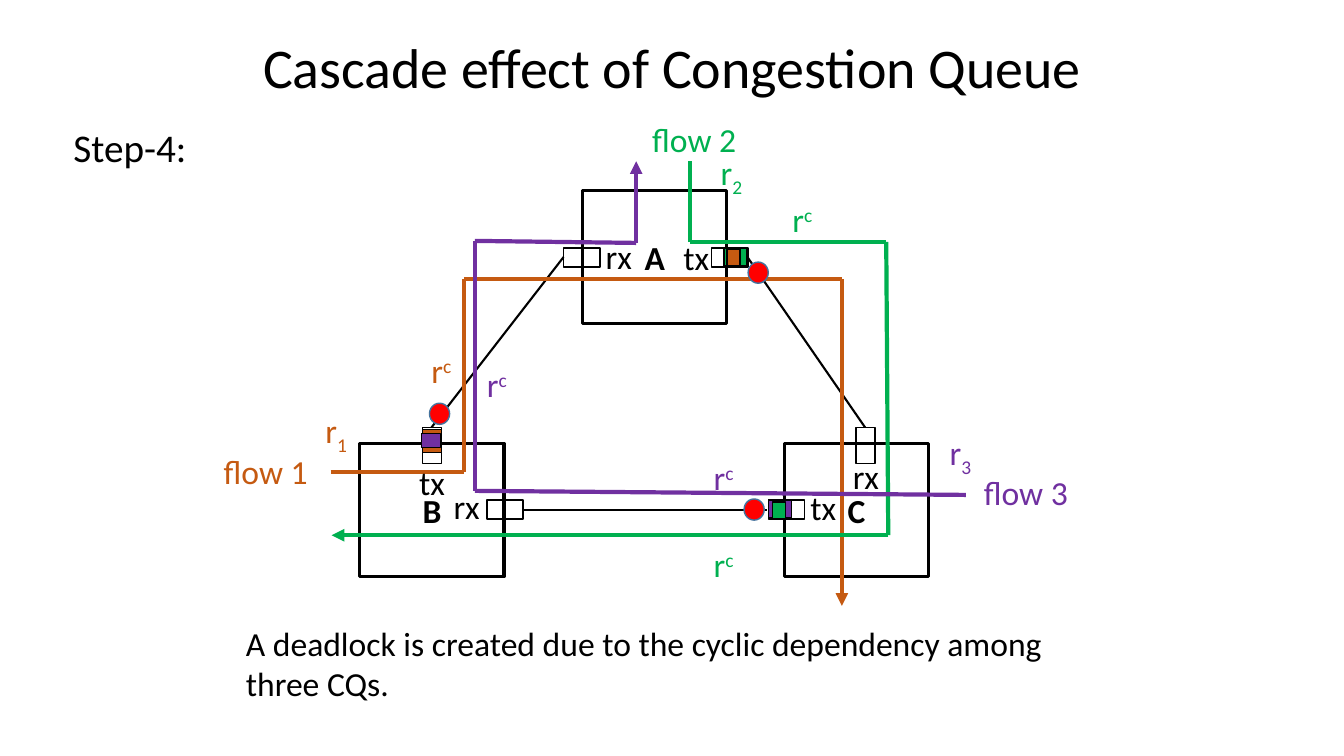
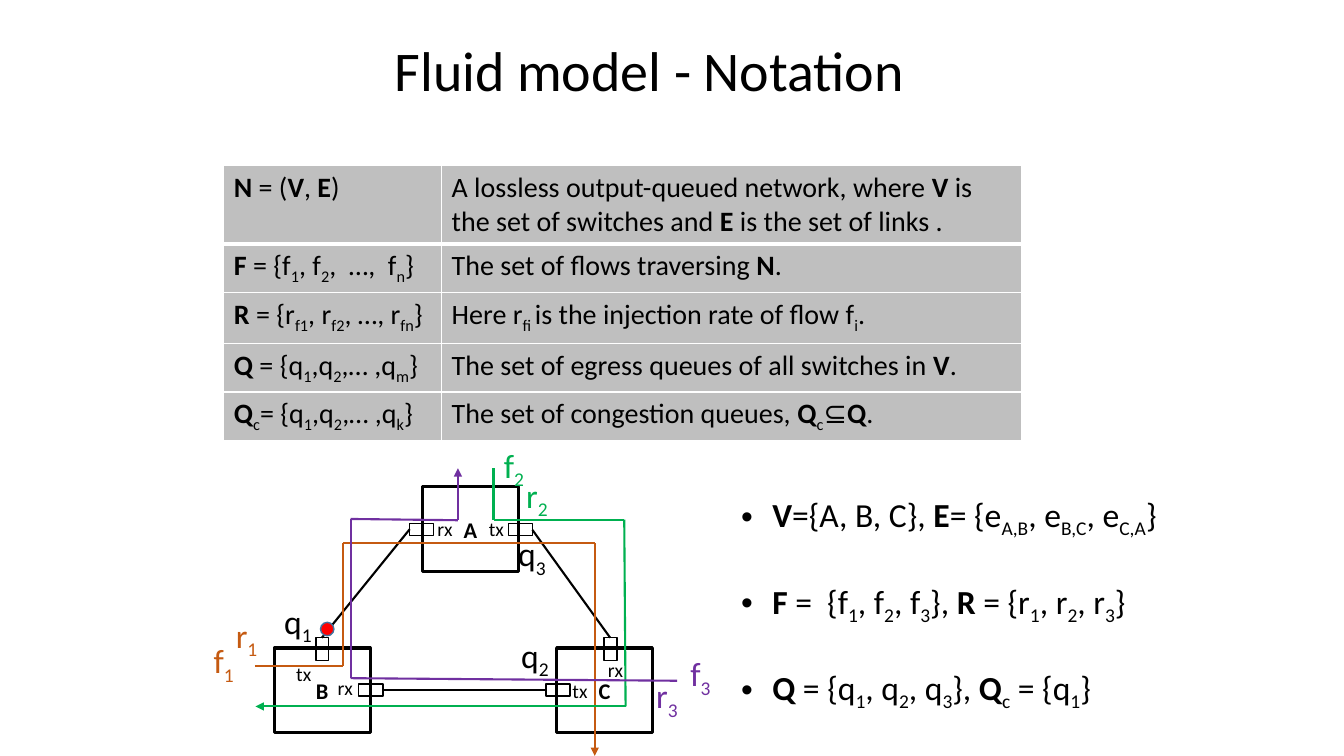
from lxml.etree import SubElement
from pptx import Presentation
from pptx.dml.color import RGBColor
from pptx.enum.shapes import MSO_CONNECTOR as Wire, MSO_SHAPE as Form
from pptx.enum.text import MSO_ANCHOR as Anchor, MSO_AUTO_SIZE as Auto, PP_ALIGN as Align
from pptx.oxml.ns import qn
from pptx.util import Inches, Pt

BLACK = RGBColor(0x00, 0x00, 0x00)
WHITE = RGBColor(0xFF, 0xFF, 0xFF)
GREY = RGBColor(0xBF, 0xBF, 0xBF)
BROWN = RGBColor(0xC5, 0x5A, 0x11)
GREEN = RGBColor(0x00, 0xB0, 0x50)
PURPLE = RGBColor(0x70, 0x30, 0xA0)
RED = RGBColor(0xFF, 0x00, 0x00)
BLUE = RGBColor(0x43, 0x73, 0x9E)
SHIFT = {"_": "-25000", "^": "30000"}


def write(para, text, size, color=BLACK, align=Align.LEFT):
    para.alignment = align
    para.font.name = "Calibri"
    para.font.size = Pt(size)
    para.font.color.rgb = color
    for part in text.split("|"):
        mark = part[0]
        run = para.add_run()
        run.text = part[1:] if mark in "*_^" else part
        run.font.bold = mark == "*"
        if mark in SHIFT:
            run._r.get_or_add_rPr().set("baseline", SHIFT[mark])


def draw(page, form, place, fill=None, edge=BLACK, width=1):
    shape = page.shapes.add_shape(form, *map(Inches, place))
    shape.shadow.inherit = False
    if fill is None:
        shape.fill.background()
    else:
        shape.fill.solid()
        shape.fill.fore_color.rgb = fill
    shape.line.color.rgb = edge
    shape.line.width = Pt(width)
    return shape


deck = Presentation()
deck.slide_width = Inches(13.33)
deck.slide_height = Inches(7.5)

nodes = [("*A", 5.78, 1.89), ("*B", 3.57, 4.4), ("*C", 7.78, 4.4)]
ports = [
    (5.59, 2.46, 0.36, 0.19), (7.06, 2.46, 0.36, 0.19),
    (4.83, 4.96, 0.36, 0.19), (7.62, 4.96, 0.36, 0.19),
    (4.19, 4.24, 0.19, 0.36), (8.49, 4.24, 0.19, 0.36),
]
links = [
    (BLACK, [(5.59, 2.55), (4.28, 4.24)]),
    (BLACK, [(7.42, 2.56), (8.58, 4.24)]),
    (BLACK, [(5.18, 5.06), (7.61, 5.06)]),
]

main_tags = [
    ("tx", 4.06, 4.53, 0.46, BLACK), ("rx", 4.4, 4.77, 0.46, BLACK),
    ("rx", 8.36, 4.47, 0.46, BLACK), ("tx", 7.94, 4.78, 0.46, BLACK),
    ("tx", 6.68, 2.3, 0.46, BLACK), ("rx", 5.91, 2.29, 0.46, BLACK),
    ("flow 1", 2.12, 4.42, 1.04, BROWN), ("flow 2", 6.37, 1.13, 1.04, GREEN),
    ("flow 3", 9.66, 4.63, 1.04, PURPLE),
    ("r|_1", 3.13, 4.02, 0.43, BROWN), ("r|_2", 7.05, 1.46, 0.43, GREEN),
    ("r|_3", 9.32, 4.24, 0.43, PURPLE),
    ("r|^c", 4.18, 3.42, 0.41, BROWN), ("r|^c", 4.73, 3.56, 0.41, PURPLE),
    ("r|^c", 6.98, 4.48, 0.41, PURPLE), ("r|^c", 6.98, 5.35, 0.41, GREEN),
    ("r|^c", 7.76, 1.92, 0.41, GREEN),
]
model_tags = [
    ("tx", 2.84, 6.52, 0.36, BLACK), ("rx", 3.25, 6.66, 0.36, BLACK),
    ("rx", 5.93, 6.48, 0.36, BLACK), ("tx", 5.58, 6.69, 0.36, BLACK),
    ("tx", 4.75, 5.08, 0.36, BLACK), ("rx", 4.24, 5.08, 0.36, BLACK),
    ("f|_1", 2.02, 6.3, 0.42, BROWN), ("f|_2", 4.9, 4.36, 0.42, GREEN),
    ("f|_3", 6.75, 6.43, 0.42, PURPLE),
    ("q|_1", 2.72, 5.91, 0.49, BLACK), ("q|_2", 5.07, 6.25, 0.49, BLACK),
    ("q|_3", 5.04, 5.24, 0.49, BLACK),
    ("r|_1", 2.24, 6.05, 0.43, BROWN), ("r|_2", 5.12, 4.66, 0.43, GREEN),
    ("r|_3", 6.41, 6.65, 0.43, PURPLE),
]

plans = [
    (5, "Cascade effect of Congestion Queue", (1.72, 0.27, 9.89, 0.77),
     5.78, 1.89, 1, 1, 6.01, 3, 24, 24, main_tags),
    (1, "Fluid model - Notation", (0.63, 0.3, 11.62, 0.77),
     4.19, 4.83, 0.665, 0.637, 6.08, 1.5, 16, 14, model_tags),
]
pages = []
for layout, head, place, left, top, wide, high, foot, thick, big, small, tags in plans:
    page = deck.slides.add_slide(deck.slide_layouts[layout])
    pages.append(page)
    title = page.shapes.title
    title.left, title.top, title.width, title.height = map(Inches, place)
    title.text_frame.auto_size = Auto.NONE
    write(title.text_frame.paragraphs[0], head, 40, align=Align.CENTER)

    for name, x, y in nodes:
        spot = (left + (x - 5.78) * wide, top + (y - 1.89) * high, 1.43 * wide, 1.32 * high)
        node = draw(page, Form.RECTANGLE, spot, width=2.25)
        node.text_frame.vertical_anchor = Anchor.MIDDLE
        write(node.text_frame.paragraphs[0], name, big, align=Align.CENTER)
    for x, y, w, h in ports:
        spot = (left + (x - 5.78) * wide, top + (y - 1.89) * high, w * wide, h * high)
        draw(page, Form.RECTANGLE, spot)

    flows = [
        (BROWN, [(3.28, 4.68), (4.6, 4.68), (4.6, 2.77), (8.35, 2.77), (8.35, foot)]),
        (GREEN, [(6.84, 1.6), (6.84, 2.4), (8.79, 2.4), (8.81, 5.31), (3.29, 5.31)]),
        (PURPLE, [(9.58, 4.91), (4.71, 4.87), (4.71, 2.39), (6.31, 2.41), (6.31, 1.6)]),
    ]
    for color, stops in links + flows:
        for start, end in zip(stops, stops[1:]):
            ends = [Inches(v) for x, y in (start, end)
                    for v in (left + (x - 5.78) * wide, top + (y - 1.89) * high)]
            line = page.shapes.add_connector(Wire.STRAIGHT, *ends)
            line.line.color.rgb = color
            line.line.width = Pt(1.5 if color == BLACK else thick)
            if color != BLACK and end == stops[-1]:
                SubElement(line.line._get_or_add_ln(), qn("a:tailEnd"), type="triangle")
            SubElement(line._element.spPr, qn("a:effectLst"))

    spot = (left - 1.52 * wide, top + 2.11 * high, 0.2 * wide, 0.21 * high)
    draw(page, Form.OVAL, spot, RED, BLUE)

    for text, x, y, w, color in tags:
        size = small if text in ("rx", "tx") else 24
        tag = page.shapes.add_textbox(*map(Inches, (x, y, w, size / 48 + 0.02)))
        tag.text_frame.word_wrap = False
        write(tag.text_frame.paragraphs[0], text, size, color)

cascade, model = pages

for x, y in [(7.38, 4.95), (7.42, 2.6)]:
    draw(cascade, Form.OVAL, (x, y, 0.2, 0.21), RED, BLUE)
for fill, *place in [
    (BROWN, 4.19, 4.26, 0.19, 0.23), (PURPLE, 4.18, 4.3, 0.19, 0.14),
    (PURPLE, 7.62, 4.96, 0.23, 0.18), (GREEN, 7.66, 4.98, 0.13, 0.17),
    (GREEN, 7.18, 2.46, 0.23, 0.18), (BROWN, 7.21, 2.47, 0.13, 0.17),
]:
    draw(cascade, Form.RECTANGLE, place, fill)

for text, size, *place in [
    ("Step-4:", 28, 0.63, 1.17, 1.4, 0.57),
    ("A deadlock is created due to the cyclic dependency among three CQs.",
     24, 2.34, 6.13, 8.28, 0.91),
]:
    note = cascade.shapes.add_textbox(*map(Inches, place))
    note.text_frame.word_wrap = True
    write(note.text_frame.paragraphs[0], text, size)

terms = [
    ("*N |= (|*V|, |*E|)",
     "A lossless output-queued network, where |*V| is the set of switches and |*E| is the set of links ."),
    ("*F |= {f|_1|, f|_2|,  …,  f|_n|}", "The set of flows traversing |*N|."),
    ("*R |= {r|_f1|, r|_f2|, …, r|_fn|}",
     "Here r|_fi |is the injection rate of flow f|_i|."),
    ("*Q| = {q|_1|,q|_2|,… ,q|_m|}",
     "The set of egress queues of all switches in |*V|."),
    ("*Q|_c|= {q|_1|,q|_2|,… ,q|_k|}",
     "The set of congestion queues, |*Q|_c|⊆|*Q|."),
]
frame = model.shapes.add_table(5, 2, *map(Inches, (2.22, 1.64, 7.91, 2.68)))
table = frame.table
table.first_row = False
table.horz_banding = False
for col, w in zip(table.columns, (2.16, 5.75)):
    col.width = Inches(w)
for i, (row, h) in enumerate(zip(table.rows, (0.78, 0.45, 0.51, 0.46, 0.48))):
    row.height = Inches(h)
    for cell, text in zip(row.cells, terms[i]):
        write(cell.text_frame.paragraphs[0], text, 20)
        props = cell._tc.get_or_add_tcPr()
        for side in "LRTB":
            heavy = (i, side) in ((0, "B"), (1, "T"))
            edge = SubElement(props, qn("a:ln" + side), w=str(Pt(3 if heavy else 1)))
            SubElement(SubElement(edge, qn("a:solidFill")), qn("a:srgbClr"), val=str(WHITE))
        cell.fill.solid()
        cell.fill.fore_color.rgb = GREY

body = model.placeholders[1]
body.left, body.top, body.width, body.height = map(Inches, (7.25, 4.85, 4.48, 2.12))
body.text_frame.auto_size = Auto.NONE
body.text_frame.word_wrap = False
for i, text in enumerate([
    "*V|={A, B, C}, |*E|= {e|_A,B|, e|_B,C|, e|_C,A|}",
    "*F |=  {f|_1|, f|_2|, f|_3|}, |*R |= {r|_1|, r|_2|, r|_3|}",
    "*Q |= {q|_1|, q|_2|, q|_3|}, |*Q|_c| = {q|_1|}",
]):
    para = body.text_frame.add_paragraph() if i else body.text_frame.paragraphs[0]
    props = para._p.get_or_add_pPr()
    props.set("marL", str(Inches(0.31)))
    props.set("indent", str(Inches(-0.31)))
    para.space_before = Pt(29 if i else 0)
    write(para, text, 24)

deck.save("out.pptx")
